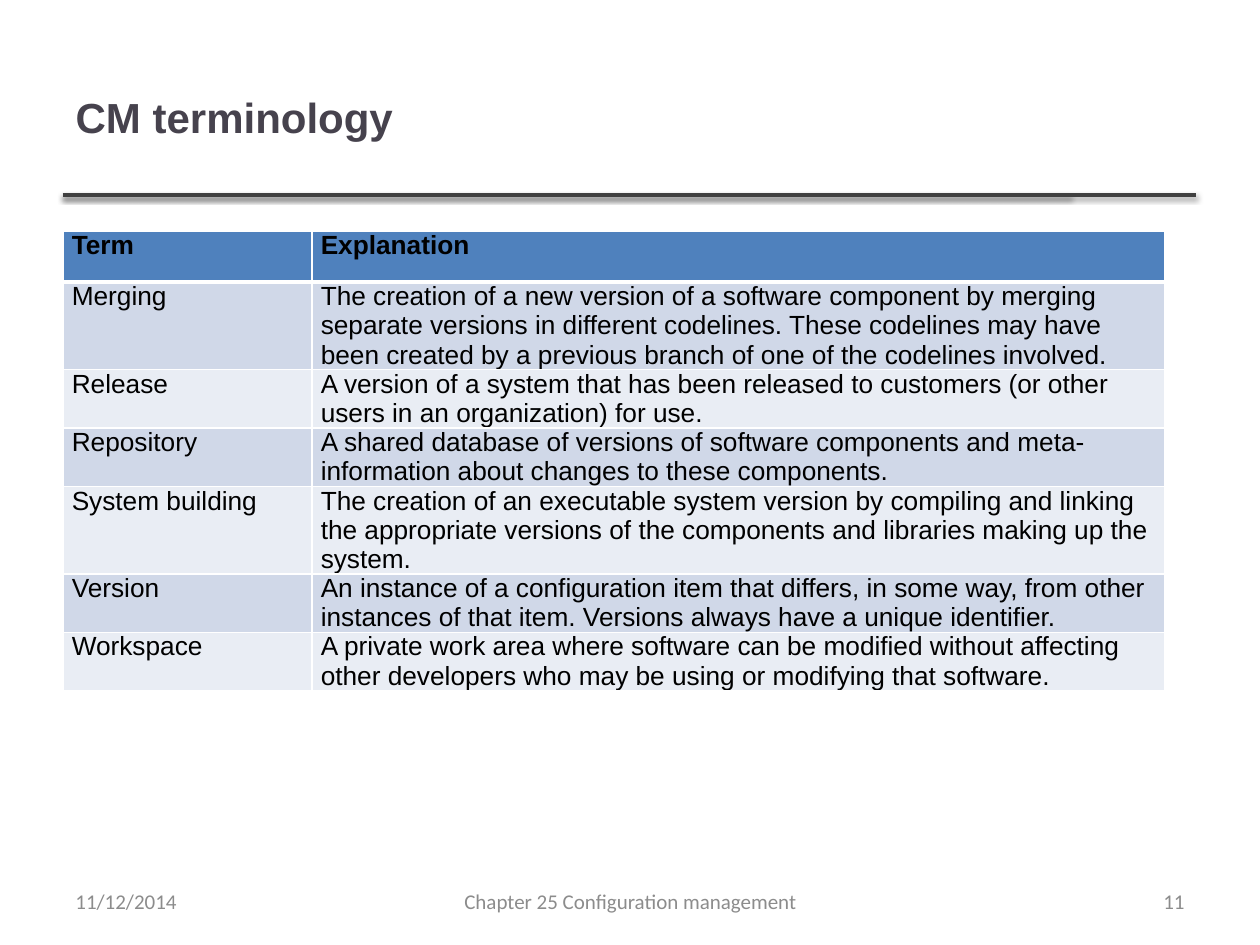
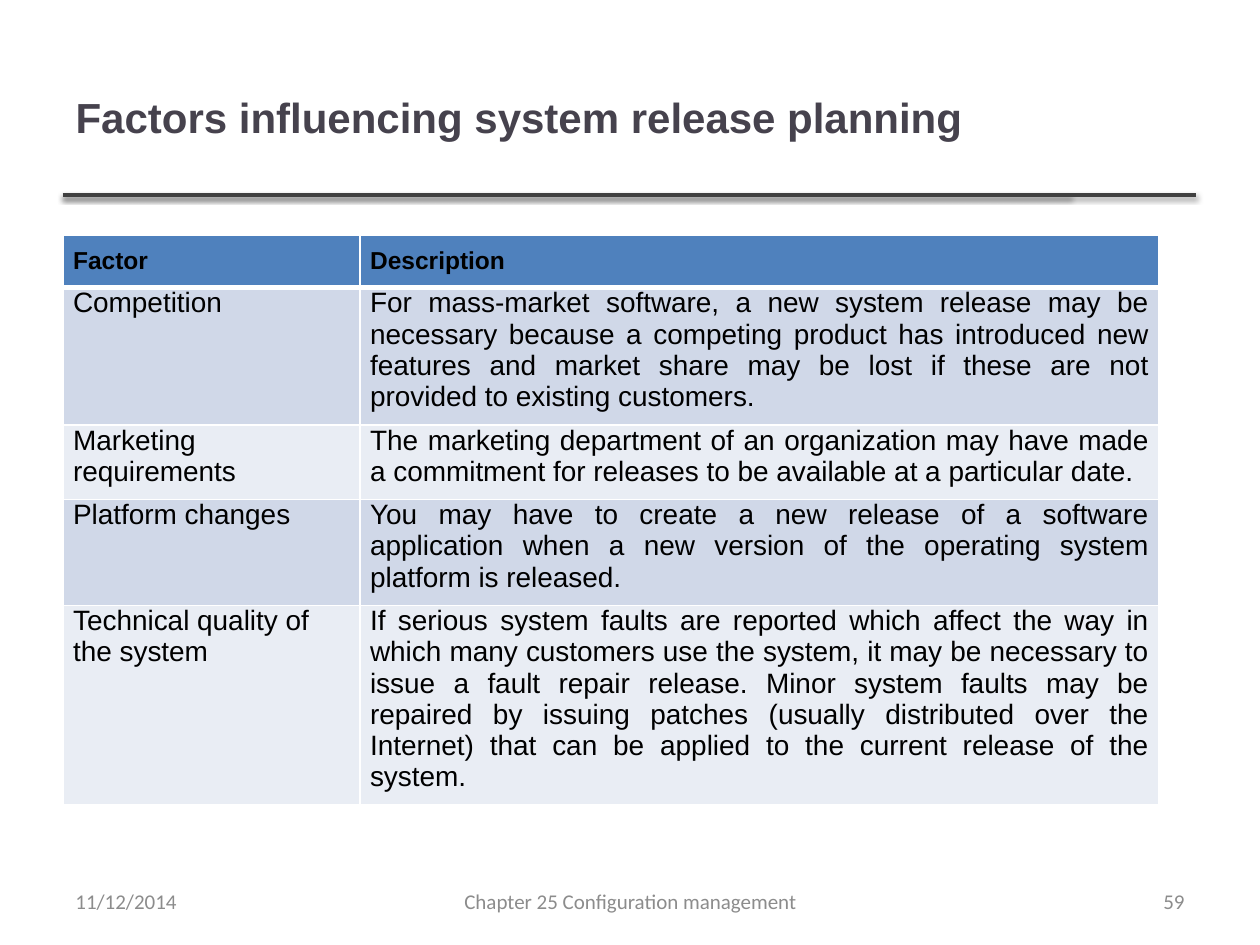
"""Build two table slides on configuration management."""
from lxml import etree
from pptx import Presentation, util as u
from pptx.dml.color import RGBColor
from pptx.enum import shapes, text
from pptx.oxml import parse_xml
from pptx.oxml.ns import qn

PX = 914400 // 126
NS = 'xmlns:a="http://schemas.openxmlformats.org/drawingml/2006/main"'
LEFT, JUSTIFY = text.PP_ALIGN.LEFT, text.PP_ALIGN.JUSTIFY


def rgb(value):
    return RGBColor.from_string(value)


def px(*values):
    return [u.Emu(v * PX) for v in values]


class Deck:
    INK, TITLE, RULE, FOOT = "000000", "46424D", "404040", "8C8C8C"
    HEAD, BANDS, GRID = "4F81BD", ("D0D8E8", "E9EDF4"), "FFFFFF"
    SHADOW = (f'<a:effectLst {NS}><a:outerShdw blurRad="40000" dist="20000" dir="5400000" '
              'rotWithShape="0"><a:srgbClr val="000000"><a:alpha val="38000"/></a:srgbClr>'
              '</a:outerShdw></a:effectLst>')

    def __init__(self):
        self.prs = Presentation()
        self.prs.slide_width, self.prs.slide_height = u.Inches(10), u.Inches(7.5)

    def put_text(self, tf, words, size, color, bold=False, align=LEFT, after=0, font="Arial"):
        tf.word_wrap = True
        p = tf.paragraphs[0]
        p.alignment, p.space_after = align, u.Pt(after)
        r = p.add_run()
        r.text = words
        r.font.color.rgb = rgb(color)
        for name, value in dict(name=font, size=u.Pt(size), bold=bold).items():
            setattr(r.font, name, value)

    def slide(self, title):
        self.s = self.prs.slides.add_slide(self.prs.slide_layouts[5])
        for right in (1070, 1196):
            self.rule(63, right, 195)
        sp = self.s.shapes.title
        sp.left, sp.top, sp.width, sp.height = px(63, 38, 1005, 157)
        sp.text_frame.vertical_anchor = text.MSO_ANCHOR.MIDDLE
        self.put_text(sp.text_frame, title, 24, self.TITLE, True)

    def rule(self, left, right, y):
        line = self.s.shapes.add_connector(shapes.MSO_CONNECTOR.STRAIGHT, *px(left, y, right, y))
        line.line.color.rgb, line.line.width = rgb(self.RULE), u.Pt(2)
        line._element.spPr.append(parse_xml(self.SHADOW))

    def borders(self, cell, bottom):
        tc_pr = cell._tc.get_or_add_tcPr()
        for i, (side, width) in enumerate(dict(L=1, R=1, T=1, B=bottom).items()):
            ln = etree.Element(qn(f"a:ln{side}"), w=str(u.Pt(width)))
            fill = etree.SubElement(ln, qn("a:solidFill"))
            etree.SubElement(fill, qn("a:srgbClr"), val=self.GRID)
            tc_pr.insert(i, ln)

    def table(self, top, cols, heights, rows, head, body):
        """Draw rows; head and body hold size, insets, after and aligns."""
        frame = self.s.shapes.add_table(len(rows), len(cols),
                                        *px(63, top, sum(cols), sum(heights)))
        tb = frame.table
        for col, width in zip(tb.columns, px(*cols)):
            col.width = width
        for i, (row, height) in enumerate(zip(rows, px(*heights))):
            tb.rows[i].height = height
            style = body if i else head
            for j, words in enumerate(row):
                cell = tb.cell(i, j)
                sides = ("left", "top", "right", "bottom")
                for side, inset in zip(sides, style["insets"]):
                    setattr(cell, f"margin_{side}", u.Inches(inset))
                cell.fill.solid()
                cell.fill.fore_color.rgb = rgb(self.BANDS[(i - 1) % 2] if i else self.HEAD)
                self.borders(cell, 1 if i else 3)
                self.put_text(cell.text_frame, words, style["size"], self.INK, not i,
                              style["aligns"][j], style["after"])

    def footer(self, number):
        for left, width, words, align in (
                (431, 399, "Chapter 25 Configuration management", text.PP_ALIGN.CENTER),
                (903, 294, number, text.PP_ALIGN.RIGHT),
                (63, 294, "11/12/2014", LEFT)):
            tf = self.s.shapes.add_textbox(*px(left, 876, width, 50)).text_frame
            tf.vertical_anchor = text.MSO_ANCHOR.MIDDLE
            self.put_text(tf, words, 12, self.FOOT, align=align, font="Calibri")


TERMS = [
    ("Term", "Explanation"),
    ("Merging", "The creation of a new version of a software component by merging separate "
     "versions in different codelines. These codelines may have been created by a previous "
     "branch of one of the codelines involved."),
    ("Release", "A version of a system that has been released to customers (or other users in "
     "an organization) for use."),
    ("Repository", "A shared database of versions of software components and meta-information "
     "about changes to these components."),
    ("System building", "The creation of an executable system version by compiling and linking "
     "the appropriate versions of the components and libraries making up the system."),
    ("Version", "An instance of a configuration item that differs, in some way, from other "
     "instances of that item. Versions always have a unique identifier."),
    ("Workspace", "A private work area where software can be modified without affecting other "
     "developers who may be using or modifying that software."),
]
FACTORS = [
    ("Factor", "Description"),
    ("Competition", "For mass-market software, a new system release may be necessary because a "
     "competing product has introduced new features and market share may be lost if these are "
     "not provided to existing customers."),
    ("Marketing requirements", "The marketing department of an organization may have made a "
     "commitment for releases to be available at a particular date."),
    ("Platform changes", "You may have to create a new release of a software application when "
     "a new version of the operating system platform is released."),
    ("Technical quality of the system", "If serious system faults are reported which affect "
     "the way in which many customers use the system, it may be necessary to issue a fault "
     "repair release. Minor system faults may be repaired by issuing patches (usually "
     "distributed over the Internet) that can be applied to the current release of the system."),
]

deck = Deck()

deck.slide("CM terminology")
term = dict(size=15, insets=(0.07, 0, 0.07, 0), after=2, aligns=(LEFT, LEFT))
deck.table(231, (249, 853), (51, 87, 58, 58, 87, 58, 58), TERMS,
           {**term, "aligns": (JUSTIFY, JUSTIFY)}, term)
deck.footer("11")

deck.slide("Factors influencing system release planning")
deck.table(235, (297, 799), (52, 137, 74, 106, 199), FACTORS,
           dict(size=14, insets=(0.08, 0.1, 0.08, 0.1), after=0, aligns=(JUSTIFY, JUSTIFY)),
           dict(size=16, insets=(0.08, 0, 0.08, 0.1), after=0, aligns=(LEFT, JUSTIFY)))
deck.footer("59")

deck.prs.save("out.pptx")
